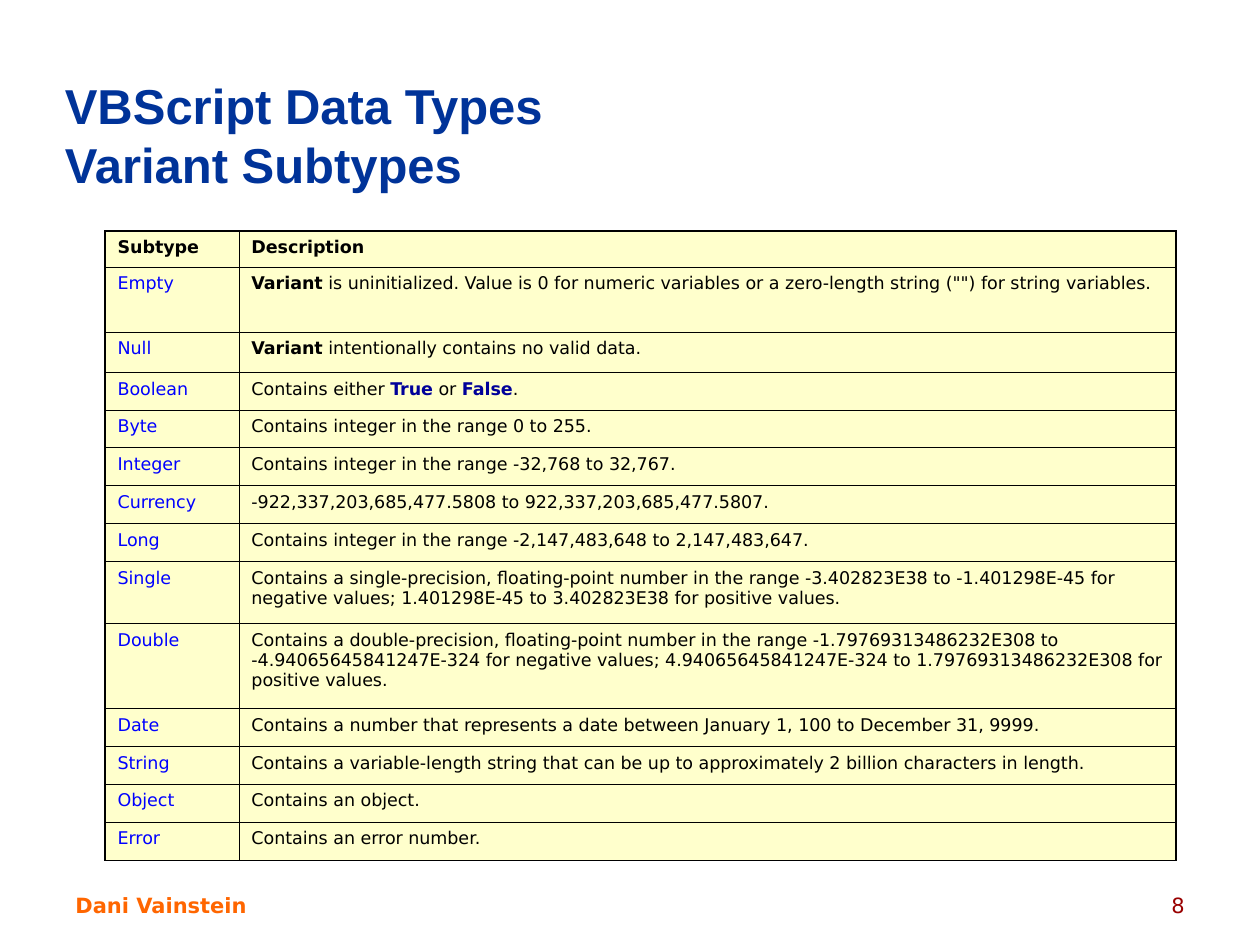
from dataclasses import dataclass
from typing import NamedTuple

import pptx
import pptx.dml.color
import pptx.enum.text
import pptx.oxml.ns
import pptx.util
from lxml import etree

Pt = pptx.util.Pt
Align = pptx.enum.text.PP_ALIGN


@dataclass(frozen=True)
class Theme:
    head: str = "Arial"
    body: str = "DejaVu Sans"
    title: str = "003399"
    author: str = "FF6600"
    page: str = "990000"
    ink: str = "000000"
    name: str = "0000FF"
    key: str = "000099"
    fill: str = "FFFFCC"
    title_size: float = 28
    foot_size: float = 12
    cell_size: float = 10
    thin: float = 0.45
    thick: float = 1.08


THEME = Theme()


class Piece(NamedTuple):
    text: str
    color: str = THEME.ink
    bold: bool = False
    size: float = THEME.cell_size
    font: str = THEME.body


class Box(NamedTuple):
    left: float
    top: float
    width: float
    height: float


class Row(NamedTuple):
    height: float
    name: Piece
    about: list[Piece]


def kind(name: str, *about: str | Piece, height: float = 21.7) -> Row:
    """Describe one subtype; plain strings become black text."""
    parts = [p if isinstance(p, Piece) else Piece(p) for p in about]
    return Row(height, Piece(name, THEME.name), parts)


VARIANT = Piece("Variant", bold=True)
ROWS = [
    Row(20.6, Piece("Subtype", bold=True), [Piece("Description", bold=True)]),
    kind("Empty", VARIANT, " is uninitialized. Value is 0 for numeric variables or "
         'a zero-length string ("") for string variables.', height=37.1),
    kind("Null", VARIANT, " intentionally contains no valid data.", height=23.4),
    kind("Boolean", "Contains either ", Piece("True", THEME.key, True), " or ",
         Piece("False", THEME.key, True), ".", height=21.2),
    kind("Byte", "Contains integer in the range 0 to 255."),
    kind("Integer", "Contains integer in the range -32,768 to 32,767."),
    kind("Currency", "-922,337,203,685,477.5808 to 922,337,203,685,477.5807."),
    kind("Long", "Contains integer in the range -2,147,483,648 to 2,147,483,647."),
    kind("Single", "Contains a single-precision, floating-point number in the range "
         "-3.402823E38 to -1.401298E-45 for negative values; "
         "1.401298E-45 to 3.402823E38 for positive values.", height=35.4),
    kind("Double", "Contains a double-precision, floating-point number in the range "
         "-1.79769313486232E308 to -4.94065645841247E-324 for negative values; "
         "4.94065645841247E-324 to 1.79769313486232E308 for positive values.",
         height=48.6),
    kind("Date", "Contains a number that represents a date between "
         "January 1, 100 to December 31, 9999."),
    kind("String", "Contains a variable-length string that can be up to "
         "approximately 2 billion characters in length."),
    kind("Object", "Contains an object."),
    kind("Error", "Contains an error number."),
]
WIDTHS = [76.5, 535.5]


def write(para, pieces: list[Piece]) -> None:
    for piece in pieces:
        run = para.add_run()
        run.text = piece.text
        font = run.font
        font.name, font.size, font.bold = piece.font, Pt(piece.size), piece.bold
        font.color.rgb = pptx.dml.color.RGBColor.from_string(piece.color)


def label(slide, box: Box, lines: list[Piece], align=Align.LEFT) -> None:
    """Add a bottom-anchored text box with line breaks between its pieces."""
    frame = slide.shapes.add_textbox(*map(Pt, box)).text_frame
    frame.word_wrap = True
    frame.vertical_anchor = pptx.enum.text.MSO_ANCHOR.BOTTOM
    para = frame.paragraphs[0]
    para.alignment = align
    for i, line in enumerate(lines):
        if i:
            para.add_line_break()
        write(para, [line])


def border(cell, side: str, width: float) -> None:
    qn = pptx.oxml.ns.qn
    line = etree.SubElement(cell._tc.get_or_add_tcPr(), qn(f"a:ln{side}"), w=str(Pt(width)))
    fill = etree.SubElement(line, qn("a:solidFill"))
    etree.SubElement(fill, qn("a:srgbClr"), val=THEME.ink)


def grid(slide, left: float, top: float, rows: list[Row]) -> None:
    """Add the table, with a thick outer frame and thin inner rules."""
    size = (sum(WIDTHS), sum(row.height for row in rows))
    table = slide.shapes.add_table(
        len(rows), len(WIDTHS), *map(Pt, (left, top, *size))).table
    table.first_row = table.horz_banding = False
    for col, width in zip(table.columns, WIDTHS):
        col.width = Pt(width)
    for r, row in enumerate(rows):
        table.rows[r].height = Pt(row.height)
        for c, pieces in enumerate(([row.name], row.about)):
            cell = table.cell(r, c)
            edges = {"L": c == 0, "R": c == len(WIDTHS) - 1,
                     "T": r == 0, "B": r == len(rows) - 1}
            for side, outer in edges.items():
                border(cell, side, THEME.thick if outer else THEME.thin)
            cell.fill.solid()
            cell.fill.fore_color.rgb = pptx.dml.color.RGBColor.from_string(THEME.fill)
            para = cell.text_frame.paragraphs[0]
            para.space_before = Pt(2.5)
            write(para, pieces)


def main() -> None:
    deck = pptx.Presentation()
    deck.slide_width, deck.slide_height = Pt(720), Pt(540)
    slide = deck.slides.add_slide(deck.slide_layouts[6])
    label(slide, Box(36, 492, 168, 36),
          [Piece("Dani Vainstein", THEME.author, True, THEME.foot_size)])
    label(slide, Box(516, 492, 168, 36),
          [Piece("8", THEME.page, size=THEME.foot_size)], Align.RIGHT)
    label(slide, Box(30, 60, 486, 54),
          [Piece(text, THEME.title, True, THEME.title_size, THEME.head)
           for text in ("VBScript Data Types ", "Variant Subtypes")])
    grid(slide, 60, 132, ROWS)
    deck.save("out.pptx")


if __name__ == "__main__":
    main()
